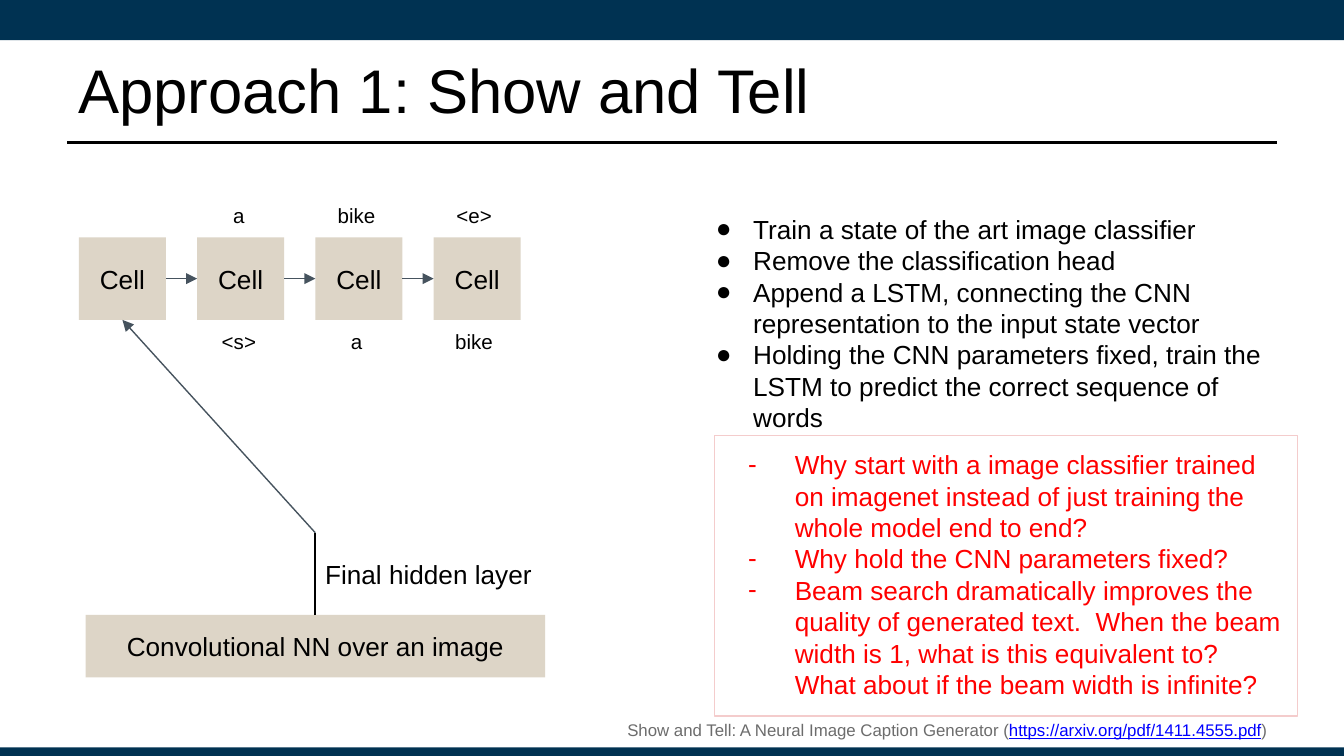
from lxml.etree import SubElement
from pptx import Presentation
from pptx.dml.color import RGBColor
from pptx.enum.shapes import MSO_CONNECTOR, MSO_SHAPE
from pptx.enum.text import MSO_ANCHOR, PP_ALIGN
from pptx.oxml.ns import qn
from pptx.util import Pt

NAVY, SAND, SLATE = "003252", "DDD5C7", "46535E"
BLACK, RED, PINK, GRAY, BLUE = "000000", "FF0000", "F4CCCC", "6C6C6C", "0000FF"


def paint(fmt, color):
    """Colour a fill, or a font or line."""
    if hasattr(fmt, "solid"):
        fmt.solid()
        fmt.fore_color.rgb = RGBColor.from_string(color)
    else:
        fmt.color.rgb = RGBColor.from_string(color)


def write(sp, paras, size=14, color=BLACK, align=PP_ALIGN.LEFT, anchor=MSO_ANCHOR.TOP,
          inset=(5, 5), bullet=None, indent=(0, 0)):
    """Each paragraph is a string or a list of (text, colour, underline)."""
    tf = sp.text_frame
    tf.word_wrap = True
    tf.vertical_anchor = anchor
    tf.margin_left = tf.margin_right = Pt(inset[0])
    tf.margin_top = tf.margin_bottom = Pt(inset[1])
    for i, runs in enumerate(paras):
        p = tf.paragraphs[0] if i == 0 else tf.add_paragraph()
        p.alignment, p.line_spacing = align, 1.0
        p.space_before = p.space_after = Pt(0)
        if bullet:
            pPr = p._p.get_or_add_pPr()
            pPr.set("marL", str(Pt(indent[0])))
            pPr.set("indent", str(Pt(indent[1])))
            clr = SubElement(pPr, qn("a:buClr"))
            SubElement(clr, qn("a:srgbClr"), val=color)
            SubElement(pPr, qn("a:buFont"), typeface="Arial")
            SubElement(pPr, qn("a:buChar"), char=bullet)
        for text, run_color, underline in [(runs, color, False)] if isinstance(runs, str) else runs:
            r = p.add_run()
            r.text = text
            r.font.name, r.font.size = "Arial", Pt(size)
            r.font.underline = underline
            paint(r.font, run_color)


prs = Presentation()
prs.slide_width, prs.slide_height = Pt(720), Pt(405)
s = prs.slides.add_slide(prs.slide_layouts[5])

# Title
title = s.shapes.title
title.left, title.top, title.width, title.height = Pt(37), Pt(22.3), Pt(476.6), Pt(50.4)
write(title, ["Approach 1: Show and Tell"], size=33, anchor=MSO_ANCHOR.MIDDLE, inset=(5, 3))

# Bars, recurrent cells and the image network
cell_x, cell_y, cell_w, cell_h, pitch = 42.3, 127.2, 46.6, 44.2, 63.35
cells = [(cell_x + i * pitch, cell_y, cell_w, cell_h, SAND, "Cell") for i in range(4)]
blocks = [
    (0, 0, 720, 21.5, NAVY, ""),
    (0, 400.4, 720, 4.6, NAVY, ""),
    (45.9, 329.5, 246.2, 33.5, SAND, "Convolutional NN over an image"),
] + cells
for x, y, w, h, color, text in blocks:
    sp = s.shapes.add_shape(MSO_SHAPE.RECTANGLE, Pt(x), Pt(y), Pt(w), Pt(h))
    sp.shadow.inherit = False
    paint(sp.fill, color)
    sp.line.fill.background()
    if text:
        write(sp, [text], align=PP_ALIGN.CENTER, anchor=MSO_ANCHOR.MIDDLE)

# Title rule, hidden layer line and arrows
mid_y = cell_y + cell_h / 2
lines = [
    (36, 76.3, 684, 76.3, BLACK, 1.25, False),
    (168.9, 329.5, 168.9, 285.4, BLACK, 1, False),
    (168.9, 285.4, cell_x + cell_w / 2, cell_y + cell_h, SLATE, 0.75, True),
] + [(x + cell_w, mid_y, x + pitch, mid_y, SLATE, 0.75, True) for x, *_ in cells[:-1]]
for x1, y1, x2, y2, color, width, arrow in lines:
    c = s.shapes.add_connector(MSO_CONNECTOR.STRAIGHT, Pt(x1), Pt(y1), Pt(x2), Pt(y2))
    paint(c.line, color)
    c.line.width = Pt(width)
    if arrow:
        SubElement(c.line._get_or_add_ln(), qn("a:tailEnd"), type="triangle")
    SubElement(c._element.spPr, qn("a:effectLst"))

# Words out of and into the cells
for y, words in [(103.6, ["a", "bike", "<e>"]), (171, ["<s>", "a", "bike"])]:
    for i, word in enumerate(words):
        tb = s.shapes.add_textbox(Pt(108.5 + i * 63), Pt(y), Pt(39), Pt(24.5))
        write(tb, [word], size=11, align=PP_ALIGN.CENTER)

tb = s.shapes.add_textbox(Pt(169.2), Pt(294), Pt(124), Pt(27.4))
write(tb, ["Final hidden layer"])

# Method
tb = s.shapes.add_textbox(Pt(371.5), Pt(111.2), Pt(312.5), Pt(121))
write(tb, [
    "Train a state of the art image classifier",
    "Remove the classification head",
    "Append a LSTM, connecting the CNN representation to the input state vector",
    "Holding the CNN parameters fixed, train the LSTM to predict the correct sequence of words",
], inset=(5, 3), bullet="●", indent=(27, -20))

# Questions
sp = s.shapes.add_shape(MSO_SHAPE.RECTANGLE, Pt(382.7), Pt(233.2), Pt(312.6), Pt(150.4))
sp.shadow.inherit = False
sp.fill.background()
paint(sp.line, PINK)
sp.line.width = Pt(0.75)
write(sp, [
    "Why start with a image classifier trained on imagenet instead of just training the "
    "whole model end to end?",
    "Why hold the CNN parameters fixed?",
    "Beam search dramatically improves the quality of generated text.  When the beam width "
    "is 1, what is this equivalent to?  What about if the beam width is infinite?",
], color=RED, inset=(7.2, 7.2), bullet="-", indent=(36, -25))

# Citation
tb = s.shapes.add_textbox(Pt(85.4), Pt(371.8), Pt(598.3), Pt(27.4))
write(tb, [[
    ("Show and Tell: A Neural Image Caption Generator (", GRAY, False),
    ("https://arxiv.org/pdf/1411.4555.pdf", BLUE, True),
    (")", GRAY, False),
]], size=9, align=PP_ALIGN.RIGHT, anchor=MSO_ANCHOR.BOTTOM, inset=(5, 3))

prs.save("out.pptx")
